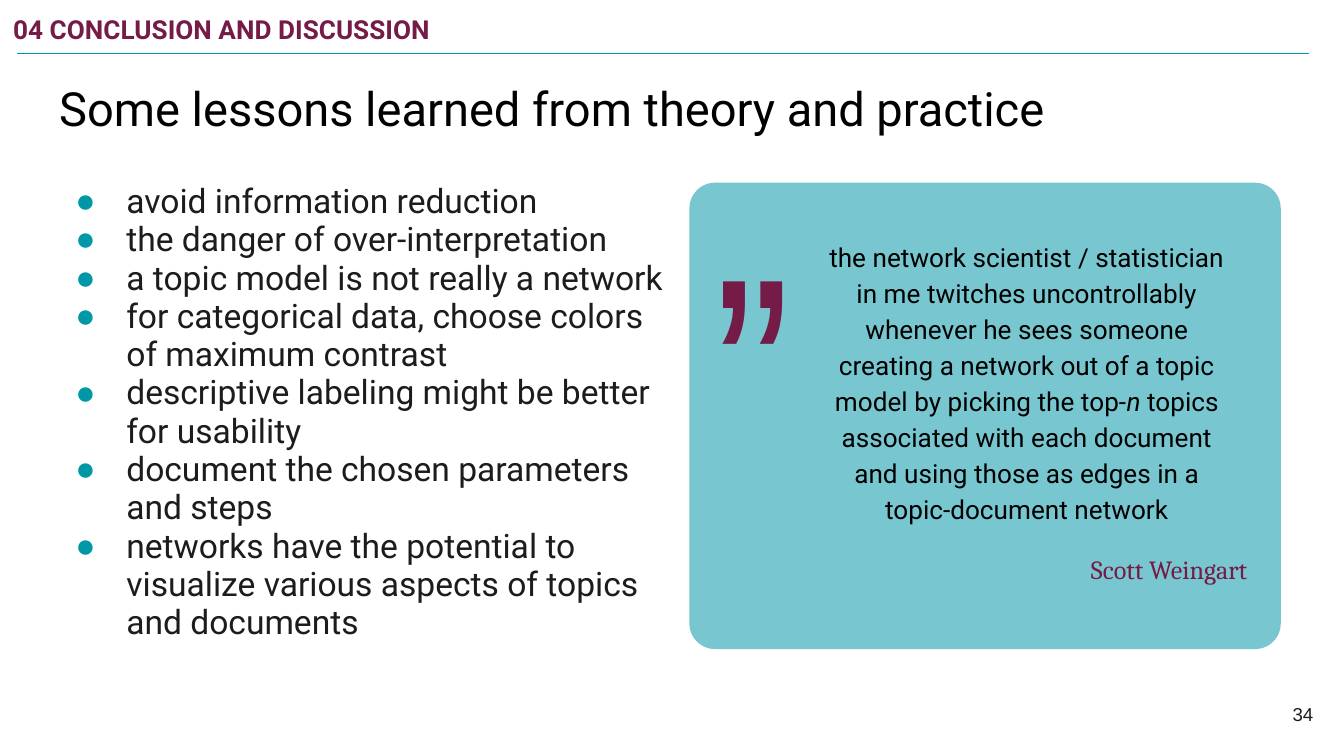
from dataclasses import dataclass
from typing import Optional

from lxml.etree import SubElement
from pptx import Presentation
from pptx.dml.color import RGBColor
from pptx.enum.shapes import MSO_CONNECTOR as Connector, MSO_SHAPE as Preset
from pptx.enum.text import MSO_ANCHOR as Anchor, MSO_AUTO_SIZE as AutoSize, PP_ALIGN as Align
from pptx.oxml.ns import qn
from pptx.util import Inches, Pt

SLIDE_WIDTH = 10
SLIDE_HEIGHT = SLIDE_WIDTH * 9 / 16

COLORS = {
    "teal": "0097A7",
    "plum": "741B47",
    "ink": "1D1C1D",
    "black": "000000",
}

LESSONS = [
    "avoid information reduction",
    "the danger of over-interpretation",
    "a topic model is not really a network",
    "for categorical data, choose colors of maximum contrast",
    "descriptive labeling might be better for usability",
    "document the chosen parameters and steps",
    "networks have the potential to visualize various aspects of topics and documents",
]

QUOTE = [
    "the network scientist / statistician in me twitches uncontrollably whenever he sees "
    "someone creating a network out of a topic model by picking the top-",
    "n ",
    "topics associated with each document and using those as edges in a topic-document network",
]


@dataclass
class Box:
    left: float
    top: float
    width: float
    height: float

    def lengths(self) -> tuple:
        return tuple(Inches(v) for v in (self.left, self.top, self.width, self.height))


@dataclass
class Label:
    box: Box
    text: str
    size: float
    font: str
    color: str
    bold: bool = False
    align: Align = Align.LEFT
    anchor: Anchor = Anchor.TOP
    spacing: float = 1.0


LABELS = [
    Label(Box(9.27, 5.1, 0.6, 0.43), "34", 10, "Arial", "ink",
          align=Align.RIGHT, anchor=Anchor.MIDDLE),
    Label(Box(5.22, 1.35, 0.97, 2.73), "”", 150, "Arial Narrow", "plum"),
    Label(Box(7.42, 3.98, 1.96, 0.44), "Scott Weingart", 14, "Cambria", "plum",
          align=Align.RIGHT, spacing=1.15),
    Label(Box(0, 0, 10, 0.44), "04 CONCLUSION AND DISCUSSION", 14, "Roboto", "plum", bold=True),
]


def rgb(name: str) -> RGBColor:
    return RGBColor.from_string(COLORS[name])


def prepare_frame(shape, box: Box, anchor: Anchor = Anchor.TOP):
    shape.left, shape.top, shape.width, shape.height = box.lengths()
    frame = shape.text_frame
    frame.word_wrap = True
    frame.auto_size = AutoSize.NONE
    frame.vertical_anchor = anchor
    frame.margin_left = frame.margin_right = Inches(0.1)
    frame.margin_top = frame.margin_bottom = Inches(0.1)
    return frame


def set_bullet(paragraph, character: Optional[str]) -> None:
    properties = paragraph._p.get_or_add_pPr()
    if character is None:
        properties.set("marL", "0")
        properties.set("indent", "0")
        SubElement(properties, qn("a:buNone"))
        return
    properties.set("marL", str(Inches(0.5)))
    properties.set("indent", str(Inches(-0.38)))
    color = SubElement(properties, qn("a:buClr"))
    SubElement(color, qn("a:srgbClr")).set("val", COLORS["teal"])
    SubElement(properties, qn("a:buFont")).set("typeface", "Arial")
    SubElement(properties, qn("a:buChar")).set("char", character)


def write_text(paragraph, text: str, *, size: float, color: str, font: str = "Roboto",
               bold: bool = False, italic: bool = False, align: Align = Align.LEFT,
               spacing: float = 1.0) -> None:
    paragraph.alignment = align
    paragraph.line_spacing = spacing
    paragraph.space_before = Pt(0)
    run = paragraph.add_run()
    run.text = text
    run.font.name = font
    run.font.size = Pt(size)
    run.font.bold = bold
    run.font.italic = italic
    run.font.color.rgb = rgb(color)


def add_label(slide, label: Label) -> None:
    shape = slide.shapes.add_textbox(*label.box.lengths())
    frame = prepare_frame(shape, label.box, label.anchor)
    write_text(frame.paragraphs[0], label.text, size=label.size, color=label.color,
               font=label.font, bold=label.bold, align=label.align, spacing=label.spacing)


def add_quote_card(slide, box: Box) -> None:
    card = slide.shapes.add_shape(Preset.ROUNDED_RECTANGLE, *box.lengths())
    card.adjustments[0] = 0.055
    card.shadow.inherit = False
    card.fill.solid()
    card.fill.fore_color.rgb = rgb("teal")
    card.line.fill.background()
    color = card._element.spPr.find(qn("a:solidFill")).find(qn("a:srgbClr"))
    SubElement(color, qn("a:alpha")).set("val", "53000")
    slide.shapes._spTree.insert(2, card._element)


def add_header_rule(slide) -> None:
    rule = slide.shapes.add_connector(
        Connector.STRAIGHT, Inches(0.13), Inches(0.4), Inches(9.74), Inches(0.4))
    rule.line.color.rgb = rgb("teal")
    rule.line.width = Pt(0.75)
    SubElement(rule._element.spPr, qn("a:effectLst"))


def main() -> None:
    presentation = Presentation()
    presentation.slide_width = Inches(SLIDE_WIDTH)
    presentation.slide_height = Inches(SLIDE_HEIGHT)
    slide = presentation.slides.add_slide(presentation.slide_layouts[3])
    title, lessons, quote = slide.placeholders

    add_quote_card(slide, Box(5.13, 1.36, 4.4, 3.47))

    frame = prepare_frame(title, Box(0.34, 0.49, 9.32, 0.63))
    write_text(frame.paragraphs[0], "Some lessons learned from theory and practice",
               size=25.2, color="black")

    frame = prepare_frame(lessons, Box(0.34, 1.26, 4.79, 3.74))
    for index, lesson in enumerate(LESSONS):
        paragraph = frame.add_paragraph() if index else frame.paragraphs[0]
        set_bullet(paragraph, "●")
        write_text(paragraph, lesson, size=18, color="ink", spacing=0.95)

    frame = prepare_frame(quote, Box(6.04, 1.66, 3.2, 2.45))
    set_bullet(frame.paragraphs[0], None)
    for index, part in enumerate(QUOTE):
        write_text(frame.paragraphs[0], part, size=14, color="black", italic=index == 1,
                   align=Align.CENTER, spacing=1.15)

    for label in LABELS:
        add_label(slide, label)
    add_header_rule(slide)

    presentation.save("out.pptx")


if __name__ == "__main__":
    main()
